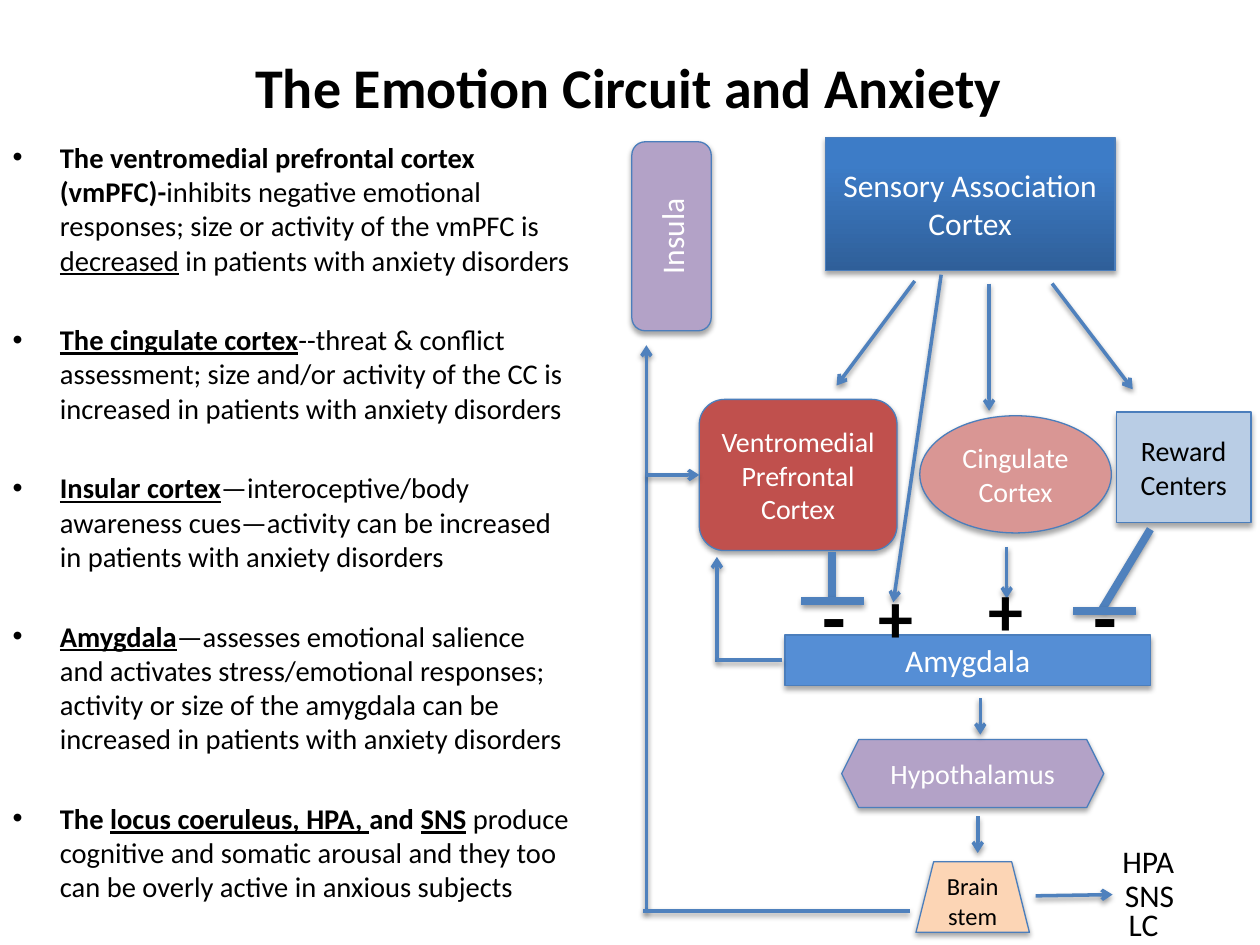
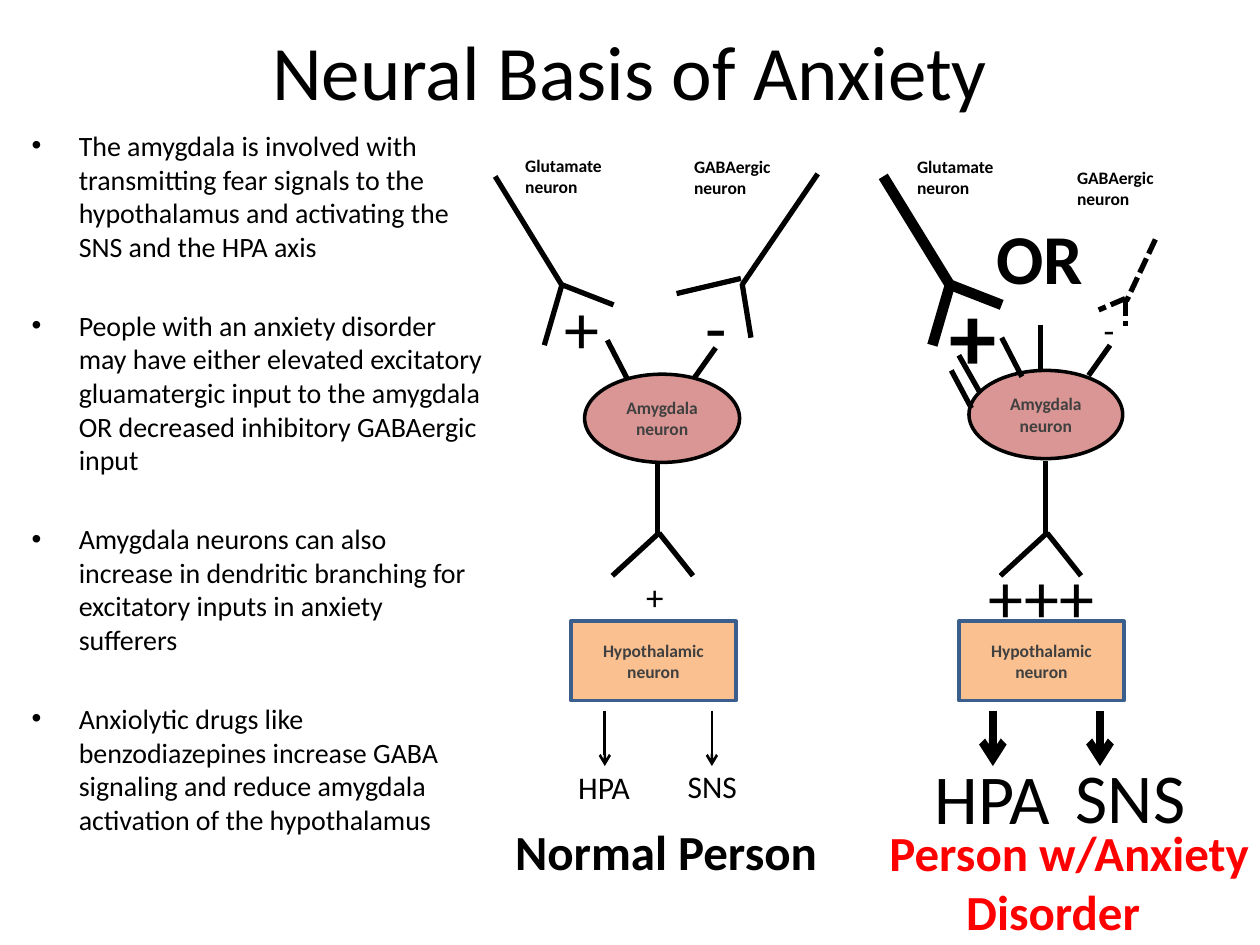
"""Build two slides on the brain circuits behind anxiety."""
from dataclasses import dataclass

from lxml.etree import SubElement
from pptx import Presentation
from pptx.dml.color import RGBColor
from pptx.enum.dml import MSO_LINE
from pptx.enum.shapes import MSO_CONNECTOR, MSO_SHAPE
from pptx.enum.text import MSO_ANCHOR, MSO_AUTO_SIZE, PP_ALIGN
from pptx.oxml.ns import qn
from pptx.util import Emu, Pt

SCALE = 9144
FONT = "Calibri"
HEX = {
    "black": "000000", "white": "FFFFFF", "gray": "404040", "red": "FF0000",
    "edge": "4B7EBC", "arrow": "4F81BD", "navy": "3A5F8C", "brick": "C0504D",
    "rose": "D99694", "blue": "558ED5", "mauve": "B3A2C7", "sky": "B9CDE5",
    "peach": "FCD5B5", "orange": "FAC090", "deep": "2F5F99", "bright": "3D7CC7",
}
SHIFT = 308


@dataclass
class Box:
    kind: MSO_SHAPE
    at: tuple
    text: str
    size: int
    fill: str
    ink: str = "white"
    edge: str = "edge"
    weight: float = 0.75
    bold: bool = False
    turn: int = 0
    shade: int = 0


@dataclass
class Line:
    ends: tuple
    weight: float = 3
    head: bool = False
    color: str = "black"
    dash: bool = False
    shade: int = 0


@dataclass
class Label:
    at: tuple
    text: str
    size: int
    bold: bool = False
    ink: str = "black"


def px(n: int) -> Emu:
    return Emu(n * SCALE)


def rgb(name: str) -> RGBColor:
    return RGBColor.from_string(HEX[name])


def style(frame, size: float, ink: str = "black", bold=None, align=None) -> None:
    for para in frame.paragraphs:
        para.font.name, para.font.size, para.font.bold = FONT, Pt(size), bold
        para.font.color.rgb = rgb(ink)
        para.alignment = align


def cast(item, shade: int) -> None:
    effect = SubElement(item._element.spPr, qn("a:effectLst"))
    if shade:
        drop = SubElement(effect, qn("a:outerShdw"), blurRad=str(Pt(3.1)),
                          dist=str(Pt(1.8)), dir="5400000", rotWithShape="0")
        color = SubElement(drop, qn("a:srgbClr"), val=HEX["black"])
        SubElement(color, qn("a:alpha"), val=str(shade * 1000))


def draw_box(slide, box: Box) -> None:
    shape = slide.shapes.add_shape(box.kind, *map(px, box.at))
    shape.rotation = box.turn
    if box.fill == "deep":
        shape.fill.gradient()
        shape.fill.gradient_angle = 90
        low, high = shape.fill.gradient_stops
        low.color.rgb, high.color.rgb = rgb("deep"), rgb("bright")
        high.position = 0.8
    else:
        shape.fill.solid()
        shape.fill.fore_color.rgb = rgb(box.fill)
    shape.line.color.rgb = rgb(box.edge)
    shape.line.width = Pt(box.weight)
    cast(shape, box.shade)
    frame = shape.text_frame
    frame.text, frame.word_wrap = box.text, True
    frame.vertical_anchor = MSO_ANCHOR.MIDDLE
    style(frame, box.size, box.ink, box.bold, PP_ALIGN.CENTER)


def draw_line(slide, line: Line) -> None:
    link = slide.shapes.add_connector(MSO_CONNECTOR.STRAIGHT, *map(px, line.ends))
    link.line.color.rgb = rgb(line.color)
    link.line.width = Pt(line.weight)
    if line.dash:
        link.line.dash_style = MSO_LINE.SQUARE_DOT
    if line.head:
        SubElement(link.line._get_or_add_ln(), qn("a:tailEnd"), type="arrow")
    cast(link, line.shade)


def draw_label(slide, label: Label):
    frame = slide.shapes.add_textbox(*map(px, label.at)).text_frame
    frame.text, frame.word_wrap = label.text, False
    frame.auto_size = MSO_AUTO_SIZE.SHAPE_TO_FIT_TEXT
    style(frame, label.size, label.ink, label.bold)
    return frame


def place(shape, at: tuple):
    shape.left, shape.top, shape.width, shape.height = map(px, at)
    shape.text_frame.auto_size = MSO_AUTO_SIZE.NONE
    return shape.text_frame


def start(deck, title: str, spot: tuple, size: int, bold: bool,
          items: list, area: tuple, small: float):
    slide = deck.slides.add_slide(deck.slide_layouts[1])
    head = place(slide.shapes.title, spot)
    head.text = title
    style(head, size, bold=bold, align=PP_ALIGN.CENTER)
    body = place(slide.placeholders[1], area)
    for i, item in enumerate(items):
        para = body.add_paragraph() if i else body.paragraphs[0]
        if i:
            para.space_before = Pt(26)
        for text, marks in item:
            run = para.add_run()
            run.text = text
            if "b" in marks:
                run.font.bold = True
            if "u" in marks:
                run.font.underline = True
    style(body, small)
    return slide


def fill(slide, boxes: list, lines: list, labels: list) -> None:
    for box in boxes:
        draw_box(slide, box)
    for line in lines:
        draw_line(slide, line)
    for label in labels:
        draw_label(slide, label)


def circuit(deck) -> None:
    items = [
        [("The ventromedial prefrontal cortex (vmPFC)-", "b"),
         ("inhibits negative emotional responses; size or activity of the vmPFC is ", ""),
         ("decreased", "u"), (" in patients with anxiety disorders", "")],
        [("The cingulate cortex", "bu"),
         ("--threat & conflict assessment; size and/or activity of the CC is "
          "increased in patients with anxiety disorders", "")],
        [("Insular cortex", "bu"),
         ("—interoceptive/body awareness cues—activity can be increased "
          "in patients with anxiety disorders", "")],
        [("Amygdala", "bu"),
         ("—assesses emotional salience and activates stress/emotional responses; activity "
          "or size of the amygdala can be increased in patients with anxiety disorders", "")],
        [("The ", "b"), ("locus coeruleus, HPA, ", "bu"), ("and ", "b"), ("SNS", "bu"),
         (" produce cognitive and somatic arousal and they too "
          "can be overly active in anxious subjects", "")],
    ]
    slide = start(deck, "The Emotion Circuit and Anxiety", (49, 6, 900, 125), 32, True,
                  items, (0, 106, 466, 633), 16.3)
    rect, oval, soft = MSO_SHAPE.RECTANGLE, MSO_SHAPE.OVAL, MSO_SHAPE.ROUNDED_RECTANGLE
    boxes = [
        Box(rect, (655, 109, 230, 106), "Sensory Association Cortex", 18, "deep"),
        Box(soft, (555, 317, 157, 120), "Ventromedial\vPrefrontal Cortex", 16, "brick"),
        Box(oval, (730, 330, 152, 93), "Cingulate Cortex", 16, "rose"),
        Box(rect, (623, 504, 290, 40), "Amygdala", 18, "blue"),
        Box(MSO_SHAPE.HEXAGON, (668, 587, 208, 54), "Hypothalamus", 16, "mauve"),
        Box(soft, (458, 156, 150, 63), "Insula", 18, "mauve", turn=270),
        Box(rect, (886, 327, 107, 88), "Reward\nCenters", 16, "sky", "black"),
        Box(MSO_SHAPE.TRAPEZOID, (727, 684, 90, 56), "Brain stem", 14, "peach", "black"),
    ]
    for box in boxes:
        box.shade = 35
    arrows = [
        (835, 225, 899, 309), (726, 223, 664, 306), (785, 225, 785, 326),
        (799, 434, 799, 475), (778, 554, 778, 583), (776, 648, 776, 677),
        (513, 723, 513, 274), (513, 377, 555, 377), (569, 525, 569, 442),
        (822, 711, 883, 710), (747, 218, 709, 478),
    ]
    stems = [(722, 723, 510, 723), (621, 524, 569, 524)]
    blocks = [(913, 420, 875, 483), (852, 485, 902, 485),
              (660, 438, 660, 474), (636, 477, 686, 477)]
    lines = [Line(ends, weight, head, "arrow", shade=38)
             for group, weight, head in ((arrows, 2, True), (stems, 2, False), (blocks, 4.5, False))
             for ends in group]
    labels = [Label((x, 446, 39, 84), "-", 44, True) for x in (858, 643)]
    labels += [Label((x, y, 48, 77), "+", 40, True) for x, y in ((775, 445), (687, 450))]
    labels += [Label((881, 663, 64, 40), "HPA", 18), Label((883, 690, 60, 40), "SNS", 18),
               Label((886, 713, 45, 40), "LC", 18)]
    fill(slide, boxes, lines, labels)


def person(slide, dx: int, thick: float, point: float, cell: tuple) -> None:
    look = dict(size=10, ink="gray", weight=2, bold=True)
    boxes = [
        Box(MSO_SHAPE.OVAL, cell, "Amygdala neuron", fill="rose", edge="black", **look),
        Box(MSO_SHAPE.RECTANGLE, (453 + dx, 493, 131, 63), "Hypothalamic neuron",
            fill="orange", edge="navy", **look),
    ]
    parts = [
        (3, False, [(522, 366, 522, 423), (523, 423, 486, 457), (523, 423, 550, 457)]),
        (thick, False, [(393, 140, 447, 228), (446, 226, 432, 274), (446, 226, 487, 242)]),
        (point, True, [(565, 564, 565, 608), (480, 564, 480, 608)]),
    ]
    lines = [Line((a + dx, b, c + dx, d), weight, head)
             for weight, head, group in parts for a, b, c, d in group]
    fill(slide, boxes, lines, [])


def basis(deck) -> None:
    items = [[(text, "")] for text in (
        "The amygdala is involved with transmitting fear signals to the hypothalamus "
        "and activating the SNS and the HPA axis",
        "People with an anxiety disorder may have either elevated excitatory gluamatergic "
        "input to the amygdala OR decreased inhibitory GABAergic input",
        "Amygdala neurons can also increase in dendritic branching for excitatory inputs "
        "in anxiety sufferers",
        "Anxiolytic drugs like benzodiazepines increase GABA signaling and reduce amygdala "
        "activation of the hypothalamus",
    )]
    slide = start(deck, "Neural Basis of Anxiety", (50, 8, 900, 95), 44, False,
                  items, (15, 97, 381, 607), 16)
    person(slide, 0, 3, 1.5, (464, 297, 123, 70))
    person(slide, SHIFT, 6, 4.5, (769, 294, 122, 70))
    solid = [
        (588, 221, 537, 233), (589, 225, 596, 268), (649, 138, 589, 226),
        (551, 300, 568, 276), (498, 301, 482, 270), (864, 298, 881, 274),
        (811, 299, 795, 268), (826, 294, 826, 258), (778, 312, 761, 282),
        (771, 324, 755, 294),
    ]
    faint = [(893, 237, 872, 246), (893, 238, 893, 259), (917, 190, 894, 239)]
    lines = [Line(ends) for ends in solid] + [Line(ends, dash=True) for ends in faint]
    labels = [Label((x, y, 85, 44), f"{kind}\nneuron", 10, True) for x, y, kind in (
        (541, 119, "GABAergic"), (407, 118, "Glutamate"),
        (845, 128, "GABAergic"), (718, 119, "Glutamate"))]
    labels += [
        Label((550, 220, 37, 77), "-", 40), Label((438, 221, 48, 77), "+", 40),
        Label((503, 452, 34, 44), "+", 20), Label((866, 240, 29, 44), "-", 20),
        Label((744, 215, 58, 101), "+", 54, True), Label((775, 434, 105, 77), "+++", 40),
        Label((536, 604, 60, 40), "SNS", 18), Label((449, 605, 62, 40), "HPA", 18),
        Label((844, 593, 108, 77), "SNS", 40), Label((732, 594, 112, 77), "HPA", 40),
        Label((781, 165, 90, 77), "OR", 40, True),
        Label((399, 647, 262, 57), "Normal Person", 28, True),
    ]
    fill(slide, [], lines, labels)
    name = draw_label(slide, Label((696, 648, 309, 104), "Person w/Anxiety\nDisorder",
                                   28, True, "red"))
    name.paragraphs[1]._p.get_or_add_pPr().set("marL", str(px(61)))


def main() -> None:
    deck = Presentation()
    deck.slide_width, deck.slide_height = px(1000), px(750)
    circuit(deck)
    basis(deck)
    deck.save("out.pptx")


if __name__ == "__main__":
    main()
